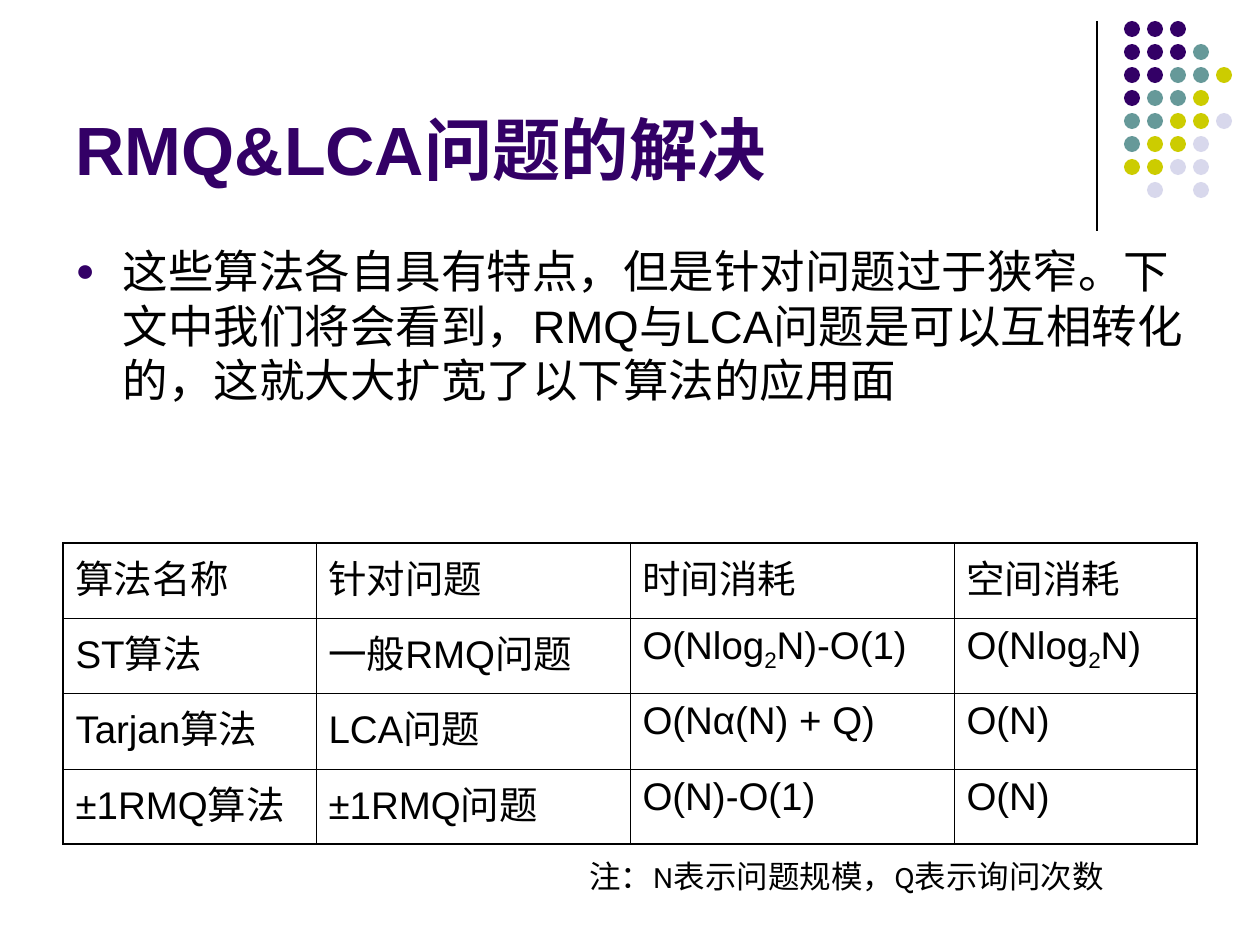
import lxml.etree
import pptx
import pptx.dml.color
import pptx.enum.shapes
import pptx.enum.text
import pptx.oxml.ns
import pptx.util

PIXEL = 914400 // 126
COLORS = {"purple": "330066", "teal": "669999", "olive": "CCCC00",
          "lavender": "D8D8EC", "black": "000000"}
qn = pptx.oxml.ns.qn


def px(*lengths):
    return [length * PIXEL for length in lengths]


def format_text(paragraph, size, color, before=0, font="Arial", bold=False):
    paragraph.alignment = pptx.enum.text.PP_ALIGN.LEFT
    paragraph.space_before = pptx.util.Pt(before)
    for run in paragraph.runs:
        run.font.size = pptx.util.Pt(size)
        run.font.name = font
        run.font.bold = bold
        run.font.color.rgb = pptx.dml.color.RGBColor.from_string(COLORS[color])


presentation = pptx.Presentation()
presentation.slide_width, presentation.slide_height = px(1260, 945)
slide = presentation.slides.add_slide(presentation.slide_layouts[1])
shapes = slide.shapes

# Corner rule
begin_x, begin_y, end_x, end_y = px(1097, 21, 1097, 231)
rule = shapes.add_connector(pptx.enum.shapes.MSO_CONNECTOR.STRAIGHT,
                            begin_x, begin_y, end_x, end_y)
rule.line.width = pptx.util.Pt(0.74)
rule.line.color.rgb = pptx.dml.color.RGBColor.from_string(COLORS["black"])
lxml.etree.SubElement(rule._element.spPr, qn("a:effectLst"))

# Corner dots: one letter per dot, a space for a gap
DOT_ROWS = ["PPP", "PPPT", "PPTTO", "PTTO", "TTOOL", "TOOL", "OOLL", " L L"]
DOT_COLORS = {"P": "purple", "T": "teal", "O": "olive", "L": "lavender"}
dots = shapes.add_group_shape()
for row, letters in enumerate(DOT_ROWS):
    for column, letter in enumerate(letters):
        if letter == " ":
            continue
        dot = dots.shapes.add_shape(pptx.enum.shapes.MSO_SHAPE.OVAL,
                                    *px(1124 + 23 * column, 21 + 23 * row, 16, 16))
        dot.shadow.inherit = False
        dot.fill.solid()
        dot.fill.fore_color.rgb = pptx.dml.color.RGBColor.from_string(
            COLORS[DOT_COLORS[letter]])
        dot.line.fill.background()

# Title
title = shapes.title
title.left, title.top, title.width, title.height = px(63, 16, 1040, 179)
title.text_frame.text = "RMQ&LCA问题的解决"
title.text_frame.auto_size = pptx.enum.text.MSO_AUTO_SIZE.NONE
title.text_frame.vertical_anchor = pptx.enum.text.MSO_ANCHOR.BOTTOM
format_text(title.text_frame.paragraphs[0], 39, "purple", bold=True)

# Bulleted body
body = slide.placeholders[1]
body.left, body.top, body.width, body.height = px(63, 237, 1134, 293)
body.text_frame.text = ("这些算法各自具有特点，但是针对问题过于狭窄。下文中我们将会看到，"
                        "RMQ与LCA问题是可以互相转化的，这就大大扩宽了以下算法的应用面")
body.text_frame.auto_size = pptx.enum.text.MSO_AUTO_SIZE.NONE
paragraph = body.text_frame.paragraphs[0]
format_text(paragraph, 26, "black", before=6.5)
properties = paragraph._p.get_or_add_pPr()
indent = 47 * PIXEL
properties.set("marL", str(indent))
properties.set("indent", str(-indent))
bullet_color = lxml.etree.SubElement(properties, qn("a:buClr"))
lxml.etree.SubElement(bullet_color, qn("a:srgbClr"), val=COLORS["purple"])
lxml.etree.SubElement(properties, qn("a:buSzPct"), val="70000")
lxml.etree.SubElement(properties, qn("a:buFont"), typeface="Arial")
lxml.etree.SubElement(properties, qn("a:buChar"), char="●")

# Algorithm table: an underscore marks the digit after it as a subscript
CELLS = [
    ["算法名称", "针对问题", "时间消耗", "空间消耗"],
    ["ST算法", "一般RMQ问题", "O(Nlog_2N)-O(1)", "O(Nlog_2N)"],
    ["Tarjan算法", "LCA问题", "O(Nα(N) + Q)", "O(N)"],
    ["±1RMQ算法", "±1RMQ问题", "O(N)-O(1)", "O(N)"],
]
COLUMN_WIDTHS = [253, 314, 324, 243]
ROW_HEIGHTS = [75, 75, 76, 75]
table = shapes.add_table(len(ROW_HEIGHTS), len(COLUMN_WIDTHS),
                         *px(63, 543, sum(COLUMN_WIDTHS), sum(ROW_HEIGHTS))).table
table.first_row = table.horz_banding = False
for column, width in zip(table.columns, px(*COLUMN_WIDTHS)):
    column.width = width
for row, height in zip(table.rows, px(*ROW_HEIGHTS)):
    row.height = height

last_row, last_column = len(ROW_HEIGHTS) - 1, len(COLUMN_WIDTHS) - 1
for row, texts in enumerate(CELLS):
    for column, text in enumerate(texts):
        cell = table.cell(row, column)
        cell.fill.background()
        paragraph = cell.text_frame.paragraphs[0]
        base, mark, rest = text.partition("_")
        for part in filter(None, [base, rest[:1], rest[1:]]):
            paragraph.add_run().text = part
        format_text(paragraph, 22, "black", before=5.5)
        if mark:
            paragraph.runs[1].font._element.set("baseline", "-25000")

        # Thick outer borders, thin inner ones
        outer_edges = {"a:lnL": column == 0, "a:lnR": column == last_column,
                       "a:lnT": row == 0, "a:lnB": row == last_row}
        cell_properties = cell._tc.get_or_add_tcPr()
        for position, (tag, outer) in enumerate(outer_edges.items()):
            width = pptx.util.Pt(1.08 if outer else 0.45)
            border = lxml.etree.Element(qn(tag), w=str(int(width)))
            fill = lxml.etree.SubElement(border, qn("a:solidFill"))
            lxml.etree.SubElement(fill, qn("a:srgbClr"), val=COLORS["black"])
            cell_properties.insert(position, border)

# Note under the table
note = shapes.add_textbox(*px(577, 851, 620, 50))
note.text_frame.word_wrap = True
note.text_frame.text = "注：N表示问题规模，Q表示询问次数"
format_text(note.text_frame.paragraphs[0], 18, "black", before=11.2, font="Karla")

presentation.save("out.pptx")
